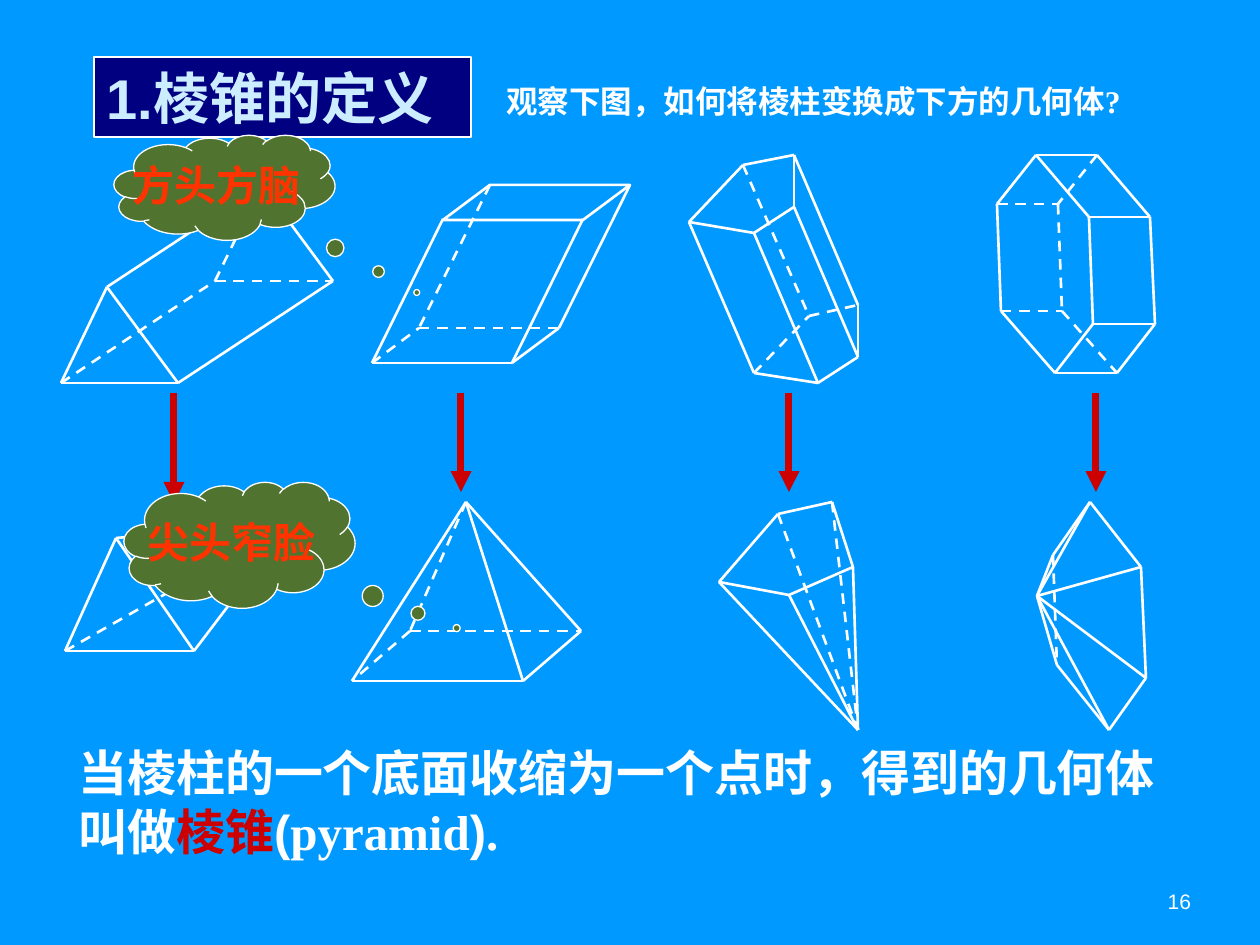
"""Slide that turns four prisms into pyramids."""
import pptx
import pptx.util
import pptx.dml.color
import pptx.enum.dml
import pptx.enum.shapes
import pptx.enum.text
import pptx.oxml.ns
import lxml.etree

PX = 914400 / 126
HEX = {"sky": "0099FF", "white": "FFFFFF", "red": "CC0000", "navy": "000080",
       "pale": "CCECFF", "moss": "50742F", "flame": "FF3300"}
SERIF = "Times New Roman"
KIND = pptx.enum.shapes.MSO_SHAPE
ALIGN = pptx.enum.text.PP_ALIGN
MID = pptx.enum.text.MSO_ANCHOR.MIDDLE
TOP = pptx.enum.text.MSO_ANCHOR.TOP

SOLIDS = [
    {"dots": {"A": (466, 502), "B": (352, 681), "C": (523, 681),
              "D": (581, 631), "E": (410, 631)},
     "seen": "AB AC AD BC CD", "hid": "AE ED EB"},
    {"dots": {"A": (719, 582), "B": (778, 514), "C": (832, 502),
              "D": (853, 567), "E": (789, 595), "F": (858, 730)},
     "seen": "AB BC CD DE EA AF EF DF", "hid": "BF CF"},
    {"dots": {"A": (1037, 596), "B": (1090, 502), "C": (1141, 567), "D": (1146, 678),
              "E": (1109, 730), "F": (1057, 665), "G": (1053, 555)},
     "seen": "BC CD DE EF BG AB AC AD AE AF AG", "hid": "GF"},
    {"lid": (443, 185, 187, 35, 1.34),
     "dots": {"A": (443, 219), "B": (583, 219), "C": (630, 185), "D": (490, 185),
              "E": (372, 363), "F": (512, 363), "G": (559, 328), "H": (419, 328)},
     "seen": "AE BF CG EF FG", "hid": "DH HG EH"},
    {"dots": {"A": (61, 383), "B": (178, 383), "C": (107, 287),
              "D": (262, 185), "E": (333, 281), "F": (215, 281)},
     "seen": "AB AC CB CD BE DE", "hid": "AF FE FD"},
    {"dots": {"A": (689, 222), "B": (743, 165), "C": (794, 155), "D": (794, 207),
              "E": (754, 233), "F": (754, 373), "G": (809, 316), "H": (858, 305),
              "I": (858, 357), "J": (818, 383)},
     "seen": "AB BC AE ED CD FJ JI HI AF EJ DI CH", "hid": "FG GH BG"},
    {"dots": {"A": (1036, 155), "B": (1097, 155), "C": (1150, 217), "D": (1089, 217),
              "E": (997, 204), "F": (1058, 204), "G": (1001, 311), "H": (1062, 311),
              "I": (1055, 373), "J": (1117, 373), "K": (1093, 324), "L": (1155, 324)},
     "seen": "AB AD DC BC DK CL KL AE EG GI KI IJ LJ", "hid": "EF GH FH BF HJ"},
    {"dots": {"A": (65, 651), "B": (194, 651), "C": (116, 538), "D": (292, 522),
              "E": (140, 536)},
     "seen": "AB AC CB CE BD", "hid": "AD"},
]
ARROWS = [(174, 503), (461, 492), (789, 492), (1096, 492)]
START = 393
PAGE = ((903, 876, 294, 50), [[("16",)]], 12)
ASK = ((494, 76, 650, 50),
       [[("观察下图，如何将棱柱变换成下方的几何体",), ("?", SERIF)]], 18)
TITLE = ((94, 57, 377, 80), [[("1.棱锥的定义",)]], 32)
RULE = ((66, 736, 1130, 131),
        [[("当棱柱的一个底面收缩为一个点时，得到的几何体",)],
         [("叫做",), ("棱锥", None, "red"), ("(",), ("pyramid", SERIF), (")",),
          (".", SERIF)]], 28)
CLOUDS = [((114, 135, 221, 105), "方头方脑", (0.87, 1.0)),
          ((124, 482, 231, 126), "尖头窄脸", (0.94, 0.66))]


def px(*nums):
    return [round(n * PX) for n in nums]


def rgb(key):
    return pptx.dml.color.RGBColor.from_string(HEX[key])


def edge(shapes, start, end, key="white", width=1.5, dash=False):
    line = shapes.add_connector(pptx.enum.shapes.MSO_CONNECTOR.STRAIGHT,
                                *px(*start, *end))
    line.line.color.rgb = rgb(key)
    line.line.width = pptx.util.Pt(width)
    if dash:
        line.line.dash_style = pptx.enum.dml.MSO_LINE.DASH
    props = line.line._get_or_add_ln().getparent()
    lxml.etree.SubElement(props, pptx.oxml.ns.qn("a:effectLst"))
    return line


def plain(shapes, kind, box, fill=None, width=0.75):
    shape = shapes.add_shape(kind, *px(*box))
    shape.shadow.inherit = False
    if fill:
        shape.fill.solid()
        shape.fill.fore_color.rgb = rgb(fill)
    else:
        shape.fill.background()
    shape.line.color.rgb = rgb("white")
    shape.line.width = pptx.util.Pt(width)
    return shape


def write(shape, rows, size, key="white", bold=True, align=ALIGN.LEFT,
          anchor=TOP, wrap=True):
    frame = shape.text_frame
    frame.word_wrap = wrap
    frame.vertical_anchor = anchor
    for i, row in enumerate(rows):
        para = frame.add_paragraph() if i else frame.paragraphs[0]
        para.alignment = align
        para.font.size = pptx.util.Pt(size)
        para.font.bold = bold
        para.font.name = "Arial"
        para.font.color.rgb = rgb(key)
        for text, *look in row:
            run = para.add_run()
            run.text = text
            if look and look[0]:
                run.font.name = look[0]
            if len(look) > 1:
                run.font.color.rgb = rgb(look[1])


def solid(slide, item):
    group = slide.shapes.add_group_shape()
    if "lid" in item:
        *box, slant = item["lid"]
        lid = plain(group.shapes, KIND.PARALLELOGRAM, box, width=1.5)
        lid.adjustments[0] = slant
    for part in ("seen", "hid"):
        for a, b in item[part].split():
            edge(group.shapes, item["dots"][a], item["dots"][b], dash=part == "hid")


def main():
    deck = pptx.Presentation()
    deck.slide_width, deck.slide_height = px(1260, 945)
    slide = deck.slides.add_slide(deck.slide_layouts[6])
    slide.background.fill.solid()
    slide.background.fill.fore_color.rgb = rgb("sky")
    shapes = slide.shapes

    box, rows, size = PAGE
    page = shapes.add_textbox(*px(*box))
    page.text_frame.margin_left = page.text_frame.margin_right = px(6)[0]
    write(page, rows, size, bold=False, align=ALIGN.RIGHT, anchor=MID)
    for item in SOLIDS:
        solid(slide, item)
    for x, end in ARROWS:
        arrow = edge(shapes, (x, START), (x, end), "red", 4)
        lxml.etree.SubElement(arrow.line._get_or_add_ln(),
                              pptx.oxml.ns.qn("a:tailEnd"), type="triangle")
    for box, rows, size in (ASK, RULE):
        write(shapes.add_textbox(*px(*box)), rows, size)
    box, rows, size = TITLE
    write(plain(shapes, KIND.RECTANGLE, box, "navy"), rows, size, "pale")
    for box, text, tip in CLOUDS:
        cloud = plain(shapes, KIND.CLOUD_CALLOUT, box, "moss")
        for i, val in enumerate(tip):
            cloud.adjustments[i] = val
        write(cloud, [[(text,)]], 24, "flame", align=ALIGN.CENTER, anchor=MID,
              wrap=False)
    deck.save("out.pptx")


if __name__ == "__main__":
    main()
